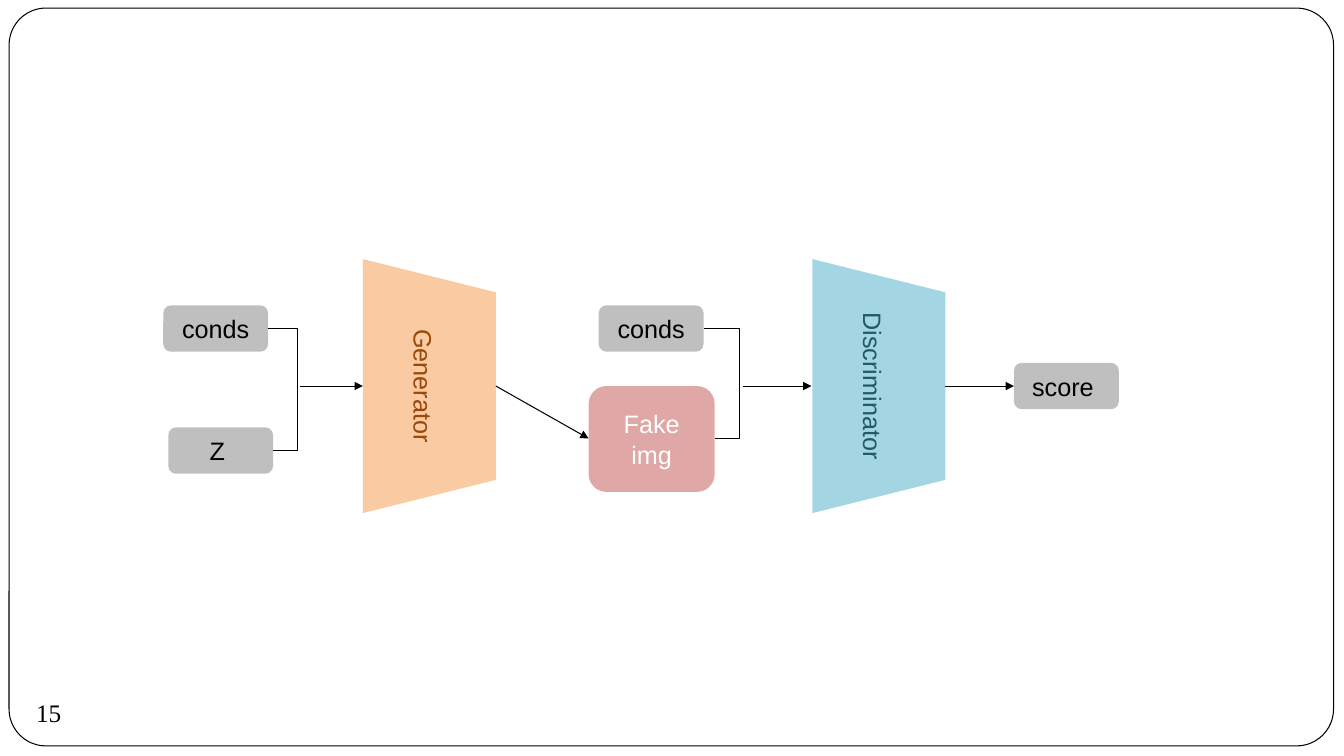
"""Build a slide showing a conditional GAN pipeline."""
from dataclasses import dataclass

import lxml.etree
import pptx
import pptx.dml.color
import pptx.enum.shapes
import pptx.enum.text
import pptx.oxml.ns
import pptx.util

Pt = pptx.util.Pt
qn = pptx.oxml.ns.qn
Preset = pptx.enum.shapes.MSO_SHAPE
Connector = pptx.enum.shapes.MSO_CONNECTOR


@dataclass(frozen=True)
class Theme:
    """Colours, fonts and sizes of the slide."""
    ink: str = "000000"
    paper: str = "FFFFFF"
    gray: str = "808080"
    red: str = "C0504D"
    orange: str = "F79646"
    brown: str = "984807"
    teal: str = "4BACC6"
    dark_teal: str = "215968"
    font: str = "Arial"
    number_font: str = "Times New Roman"
    text_size: float = 18
    line_width: float = 0.75
    opacity: int = 50


THEME = Theme()
AXIS = 275.76  # height of the main flow
TAG_WIDTH, TAG_HEIGHT = 74.88, 33.12
NETWORK_LENGTH, NETWORK_DEPTH = 181.44, 95.04


@dataclass(frozen=True)
class Block:
    """A labelled, half-transparent shape; lengths in points."""
    label: str
    left: float
    top: float
    width: float = TAG_WIDTH
    height: float = TAG_HEIGHT
    fill: str = THEME.gray
    ink: str = THEME.ink
    preset: int = Preset.ROUNDED_RECTANGLE
    rotation: float = 0


@dataclass(frozen=True)
class Link:
    """A connector: an arrow, or a bracket when a bend is given."""
    start: tuple[float, float]
    end: tuple[float, float]
    bend: float | None = None


def network(label: str, center: float, fill: str, ink: str) -> Block:
    """Describe a trapezoid turned on its side around the main axis."""
    return Block(label, center - NETWORK_LENGTH / 2, AXIS - NETWORK_DEPTH / 2,
                 NETWORK_LENGTH, NETWORK_DEPTH, fill, ink, Preset.TRAPEZOID, 90)


BLOCKS = (
    network("Generator", 306.72, THEME.orange, THEME.brown),
    network("Discriminator", 627.84, THEME.teal, THEME.dark_teal),
    Block("conds", 116.64, 218.16),
    Block("conds", 427.68, 218.16),
    Block("Z ", 120.24, 305.28),
    Block("Fake img", 420.48, AXIS, 90, 75.6, THEME.red, THEME.paper),
    Block("score ", 724.32, AXIS - TAG_HEIGHT / 2),
)
LINKS = (
    Link((675.36, AXIS), (724.32, AXIS)),
    Link((191.52, 234.72), (195.12, 321.84), 212.74),
    Link((214.56, AXIS), (259.2, AXIS)),
    Link((354.24, AXIS), (420.48, 313.2)),
    Link((530.64, AXIS), (579.6, AXIS)),
    Link((502.92, 234.72), (510.48, 313.56), 528.48),
)


def rgb(code: str) -> pptx.dml.color.RGBColor:
    """Turn a hex code into a colour."""
    return pptx.dml.color.RGBColor.from_string(code)


def write(shape, text: str, font: str, ink: str) -> None:
    """Write one paragraph into a shape."""
    shape.text_frame.word_wrap = True
    para = shape.text_frame.paragraphs[0]
    para.text = text
    para.font.name = font
    para.font.size = Pt(THEME.text_size)
    para.font.color.rgb = rgb(ink)


def draw_frame(page) -> None:
    """Draw the rounded page border and the page number."""
    frame = page.shapes.add_shape(Preset.ROUNDED_RECTANGLE, Pt(6.48), Pt(5.76),
                                  Pt(946.08), Pt(527.04))
    frame.shadow.inherit = False
    frame.adjustments[0] = 0.05
    frame.fill.solid()
    frame.fill.fore_color.rgb = rgb(THEME.paper)
    frame.line.color.rgb = rgb(THEME.ink)
    frame.line.width = Pt(THEME.line_width)
    number = page.shapes.add_textbox(Pt(18.72), Pt(494.64), Pt(36), Pt(28.8))
    write(number, "15", THEME.number_font, THEME.ink)


def draw_block(page, block: Block) -> None:
    """Draw one labelled block."""
    shape = page.shapes.add_shape(block.preset, Pt(block.left), Pt(block.top),
                                  Pt(block.width), Pt(block.height))
    shape.shadow.inherit = False
    shape.rotation = block.rotation
    shape.fill.solid()
    shape.fill.fore_color.rgb = rgb(block.fill)
    color = shape.fill._xPr.find(f"{qn('a:solidFill')}/{qn('a:srgbClr')}")
    lxml.etree.SubElement(color, qn("a:alpha"), val=str(THEME.opacity * 1000))
    shape.line.fill.background()
    write(shape, block.label, THEME.font, block.ink)
    shape.text_frame.vertical_anchor = pptx.enum.text.MSO_ANCHOR.MIDDLE
    shape.text_frame.paragraphs[0].alignment = pptx.enum.text.PP_ALIGN.CENTER


def draw_link(page, link: Link) -> None:
    """Draw a straight arrow, or a bracket joining two inputs."""
    kind = Connector.STRAIGHT if link.bend is None else Connector.ELBOW
    line = page.shapes.add_connector(kind, *map(Pt, link.start + link.end))
    line.line.color.rgb = rgb(THEME.ink)
    line.line.width = Pt(THEME.line_width)
    properties = line._element.spPr
    lxml.etree.SubElement(properties, qn("a:effectLst"))
    if link.bend is None:
        lxml.etree.SubElement(properties.find(qn("a:ln")), qn("a:tailEnd"),
                              type="triangle")
        return
    ratio = (link.bend - link.start[0]) / (link.end[0] - link.start[0])
    geometry = properties.find(qn("a:prstGeom"))
    guides = geometry.find(qn("a:avLst"))
    if guides is None:
        guides = lxml.etree.SubElement(geometry, qn("a:avLst"))
    lxml.etree.SubElement(guides, qn("a:gd"), name="adj1",
                          fmla=f"val {round(ratio * 100000)}")


def main() -> None:
    """Build and save the deck."""
    deck = pptx.Presentation()
    deck.slide_width, deck.slide_height = Pt(960), Pt(540)
    page = deck.slides.add_slide(deck.slide_layouts[6])
    draw_frame(page)
    for block in BLOCKS:
        draw_block(page, block)
    for link in LINKS:
        draw_link(page, link)
    deck.save("out.pptx")


main()
